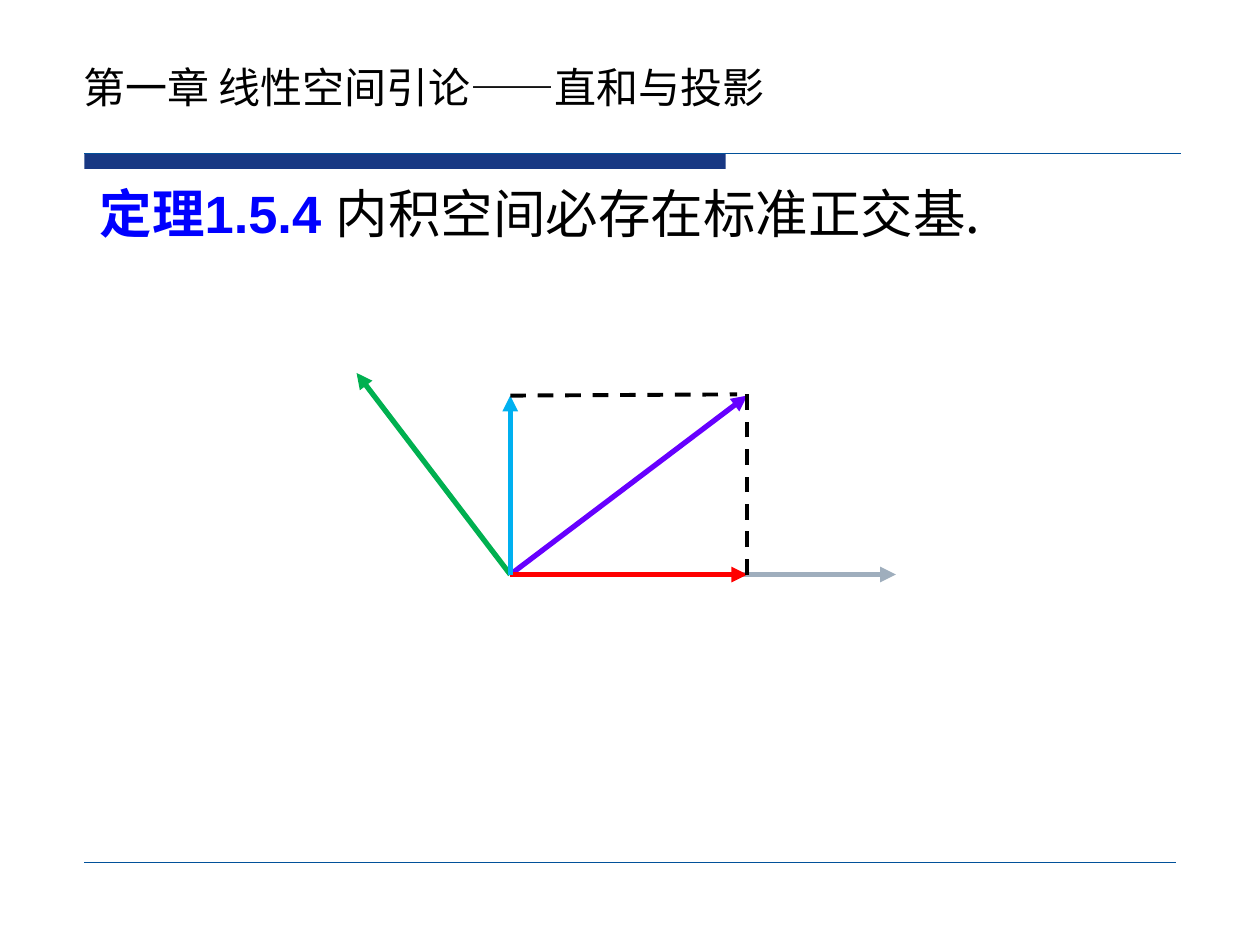
import pptx
import pptx.util
import pptx.dml.color
import pptx.enum.dml
import pptx.enum.shapes
import pptx.enum.text
import pptx.oxml
import pptx.oxml.ns
from lxml import etree

HAN = "Noto Sans CJK SC"


def hue(code):
    return pptx.dml.color.RGBColor.from_string(code)


def add(node, tag, **attrs):
    return etree.SubElement(node, pptx.oxml.ns.qn(tag), **attrs)


class Page:
    """Draws on one slide, with lengths on a grid of 100 columns by 75 rows."""

    def __init__(self, deck):
        self.col = deck.slide_width / 100
        self.row = deck.slide_height / 75
        self.slide = deck.slides.add_slide(deck.slide_layouts[1])
        self.shapes = self.slide.shapes

    def spot(self, x, y):
        return round(x * self.col), round(y * self.row)

    def text(self, hold, box, size, runs, anchor, space=1.0):
        hold.left, hold.top = self.spot(*box[:2])
        hold.width, hold.height = self.spot(*box[2:])
        frame = hold.text_frame
        frame.word_wrap = True
        frame.auto_size = pptx.enum.text.MSO_AUTO_SIZE.NONE
        frame.vertical_anchor = anchor
        para = frame.paragraphs[0]
        para.alignment = pptx.enum.text.PP_ALIGN.LEFT
        para.line_spacing = space
        para.space_before = pptx.util.Pt(0)
        props = para._p.get_or_add_pPr()
        props.set("marL", "0")
        props.set("indent", "0")
        add(props, "a:buNone")
        para.font.size = pptx.util.Pt(size)
        for words, face, code, bold in runs:
            run = para.add_run()
            run.text = words
            run.font.name = face
            run.font.bold = bold
            run.font.color.rgb = hue(code)
            add(run.font._element if hasattr(run.font, "_element") else run._r.get_or_add_rPr(),
                "a:ea", typeface=HAN)

    def band(self, box, code):
        kind = pptx.enum.shapes.MSO_SHAPE.RECTANGLE
        shape = self.shapes.add_shape(kind, *self.spot(*box[:2]), *self.spot(*box[2:]))
        shape.shadow.inherit = False
        shape.fill.solid()
        shape.fill.fore_color.rgb = hue(code)
        shape.line.fill.background()

    def line(self, start, end, code, width, dash=False, head=False):
        kind = pptx.enum.shapes.MSO_CONNECTOR.STRAIGHT
        link = self.shapes.add_connector(kind, *self.spot(*start), *self.spot(*end))
        link.line.color.rgb = hue(code)
        link.line.width = pptx.util.Pt(width)
        if dash:
            link.line.dash_style = pptx.enum.dml.MSO_LINE.DASH
        if head:
            add(link.line._get_or_add_ln(), "a:tailEnd", type="triangle")
        add(link._element.spPr, "a:effectLst")


def main():
    deck = pptx.Presentation()
    deck.slide_width = pptx.util.Inches(10)
    deck.slide_height = pptx.util.Inches(7.5)
    page = Page(deck)
    title, body = page.slide.placeholders
    anchor = pptx.enum.text.MSO_ANCHOR

    page.band((6.7, 12.2, 50.9, 1.2), "183883")
    page.line((6.7, 12.2), (93.7, 12.2), "01519A", 0.75)
    page.line((6.7, 68.4), (93.3, 68.4), "01519A", 0.25)

    page.text(title, (5.6, 2, 87.5, 7.4), 24,
              [("第一章 线性空间引论——直和与投影", HAN, "000000", False)], anchor.BOTTOM)
    page.text(body, (6.9, 13.4, 86.2, 54), 30,
              [("定理1.5.4 ", "Arial", "0000FF", True),
               ("内积空间必存在标准正交基", "Arial", "000000", False),
               (".", HAN, "000000", False)], anchor.TOP, 1.1)

    root, top, foot = (40.5, 45.6), (40.5, 31.4), (59.3, 45.6)
    tip = (foot[0], top[1])
    arrows = [((71.1, 45.6), "9FAEBD"), (tip, "6600FF"), (foot, "FF0000"),
              ((28.3, 29.6), "00B050"), (top, "00B0F0")]
    for end, code in arrows:
        page.line(root, end, code, 3, head=True)
    page.line(top, (58.5, 31.3), "000000", 2.25, dash=True)
    page.line(foot, (59.3, 31.3), "000000", 2.25, dash=True)

    deck.save("out.pptx")


if __name__ == "__main__":
    main()
